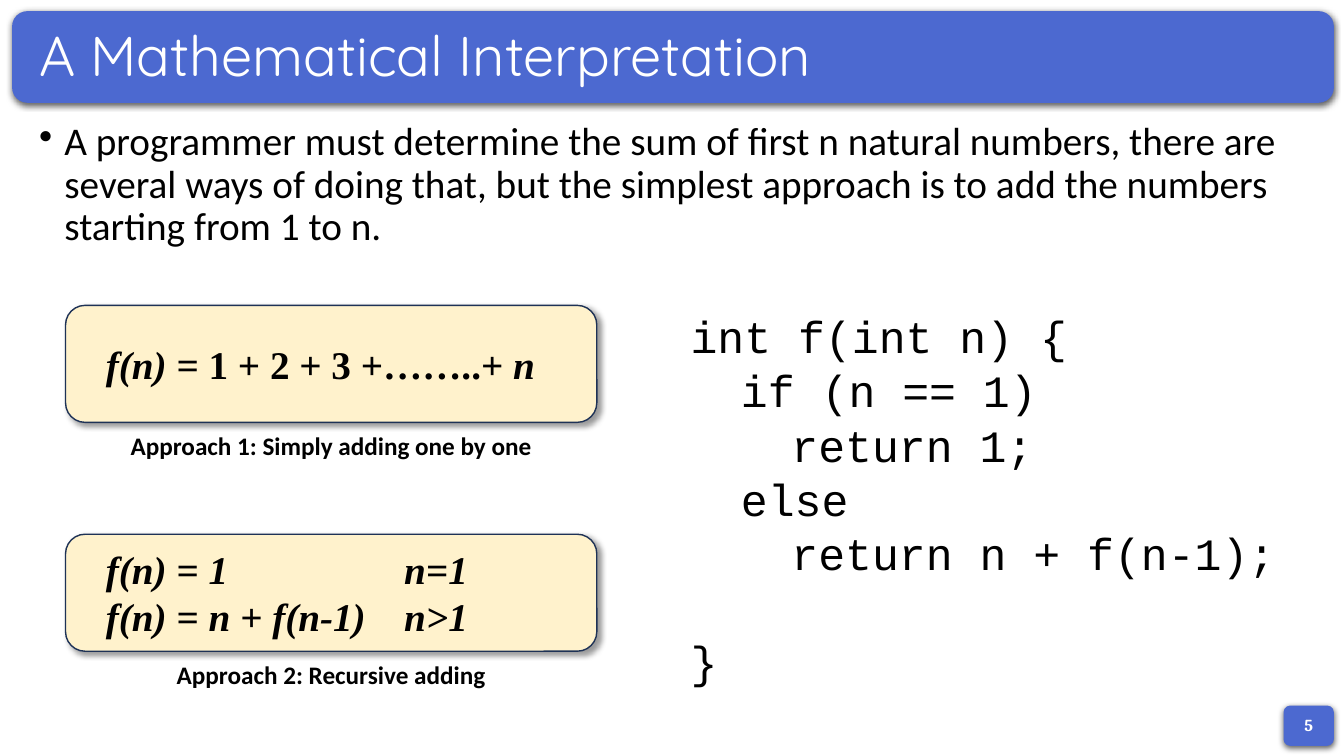
from lxml import etree
from pptx import Presentation, util as u
from pptx.dml.color import RGBColor
from pptx.enum import shapes, text
from pptx.oxml import ns

BLUE, CREAM, NAVY = "4C69D0", "FFF2CC", "1E3256"
BLACK, WHITE = "000000", "FFFFFF"
MID, TOP = text.MSO_ANCHOR.MIDDLE, text.MSO_ANCHOR.TOP
CENTER = text.PP_ALIGN.CENTER
BAR_GLOW = (63, 4.5, 1.5, 90)
CARD_GLOW = (40, 4, 3, 45)


def color(target, code):
    target.rgb = RGBColor.from_string(code)


def part(box, x, y, w, h):
    """Box inside a box, in percent of its sides."""
    left, top, wide, high = box
    return (int(left + wide * x / 100), int(top + high * y / 100),
            int(wide * w / 100), int(high * h / 100))


def node(parent, tag, **attrs):
    item = etree.SubElement(parent, ns.qn("a:" + tag))
    for key, value in attrs.items():
        item.set(key, str(value))
    return item


def panel(tree, box, fill, glow, line=None):
    """Rounded rectangle with a soft shadow."""
    shape = tree.add_shape(shapes.MSO_SHAPE.ROUNDED_RECTANGLE, *box)
    shape.fill.solid()
    color(shape.fill.fore_color, fill)
    if line:
        color(shape.line.color, line)
        shape.line.width = u.Pt(1)
    else:
        shape.line.fill.background()
    shape.shadow.inherit = False
    alpha, blur, dist, angle = glow
    effects = shape._element.spPr.find(ns.qn("a:effectLst"))
    shadow = node(effects, "outerShdw", blurRad=u.Pt(blur), dist=u.Pt(dist),
                  dir=angle * 60000, algn="ctr", rotWithShape=0)
    node(node(shadow, "srgbClr", val=BLACK), "alpha", val=alpha * 1000)


def write(tree, box, lines, font, size, ink=BLACK, bold=False, italic=False,
          align=None, anchor=TOP):
    """Text box; a line is a string or a list of (text, italic) runs."""
    frame = tree.add_textbox(*box).text_frame
    frame.word_wrap = True
    frame.vertical_anchor = anchor
    for i, line in enumerate(lines):
        para = frame.add_paragraph() if i else frame.paragraphs[0]
        para.alignment = align
        para.font.name, para.font.size = font, u.Pt(size)
        para.font.bold, para.font.italic = bold, italic
        color(para.font.color, ink)
        if isinstance(line, str):
            para.add_run().text = line
            continue
        for words, slant in line:
            run = para.add_run()
            run.text, run.font.italic = words, slant
    return frame.paragraphs


def header(tree, box, title):
    panel(tree, box, BLUE, BAR_GLOW)
    paras = write(tree, part(box, 1.3, 15.4, 97.33, 71.4), [title],
                  "Quicksand", 40, WHITE, anchor=MID)
    paras[0].line_spacing = 0.9


def intro(tree, box, words):
    para = write(tree, box, [words], "Calibri", 28)[0]
    para.line_spacing, para.space_before = 0.9, u.Pt(10)
    props = para._p.get_or_add_pPr()
    props.set("marL", str(u.Inches(0.25)))
    props.set("indent", str(-u.Inches(0.25)))
    bullet = etree.Element(ns.qn("a:buChar"), char="•")
    props.find(ns.qn("a:defRPr")).addprevious(bullet)


def approach(tree, box, lines, caption):
    """Formula card with its caption below."""
    group = tree.add_group_shape().shapes
    card = part(box, 0, 0, 100, 73)
    panel(group, card, CREAM, CARD_GLOW, NAVY)
    left, top, wide, high = part(card, 5.7, 0, 88.8, 100)
    tall = u.Inches(0.1 + 0.47 * len(lines))
    spot = left, top + (high - tall) // 2, wide, tall
    for para in write(group, spot, lines, "Times New Roman", 28,
                      bold=True, italic=True):
        tabs = etree.Element(ns.qn("a:tabLst"))
        node(tabs, "tab", pos=u.Inches(2.96), algn="l")
        para._p.pPr.find(ns.qn("a:defRPr")).addprevious(tabs)
    write(group, part(box, 0, 75, 100, 25), [caption], "Calibri", 18,
          bold=True, align=CENTER)


def code(tree, box, rows):
    """Program lines, each indented by its depth."""
    paras = write(tree, box, [line for _, line in rows], "Courier New", 32)
    for para, (depth, _) in zip(paras, rows):
        para.line_spacing = u.Pt(38.6)
        para._p.get_or_add_pPr().set("marL", str(u.Inches(depth / 2)))
    paras[-1].space_before = u.Pt(38.6)


def badge(tree, box, number):
    panel(tree, box, BLUE, BAR_GLOW)
    write(tree, part(box, 0, 0, 100, 95), [number], "Cambria", 12, WHITE,
          bold=True, align=CENTER, anchor=MID)


def main():
    deck = Presentation()
    deck.slide_width, deck.slide_height = u.Inches(13.33), u.Inches(7.5)
    page = (0, 0, deck.slide_width, deck.slide_height)
    tree = deck.slides.add_slide(deck.slide_layouts[6]).shapes

    header(tree, part(page, 0.9, 1.47, 98.35, 12.13),
           "A Mathematical Interpretation")
    intro(tree, part(page, 2.18, 15.47, 95.72, 74.67),
          "A programmer must determine the sum of first n natural numbers, "
          "there are several ways of doing that, but the simplest approach "
          "is to add the numbers starting from 1 to n.")

    # The two approaches
    approach(tree, part(page, 4.88, 40.4, 39.53, 21.2),
             [[("f(n) = ", True), ("1 + 2 + 3 +……..+ ", False), ("n", True)]],
             "Approach 1: Simply adding one by one")
    approach(tree, part(page, 4.88, 70.67, 39.53, 21.2),
             ["f(n) = 1\tn=1", "f(n) = n + f(n-1)\tn>1"],
             "Approach 2: Recursive adding")

    code(tree, part(page, 50.64, 40.2, 46.06, 44.4),
         [(0, "int f(int n) {"), (1, "if (n == 1)"), (2, "return 1;"),
          (1, "else"), (2, "return n + f(n-1);"), (0, "}")])
    badge(tree, part(page, 95.5, 93.33, 3.75, 5.33), "5")
    deck.save("out.pptx")


if __name__ == "__main__":
    main()
